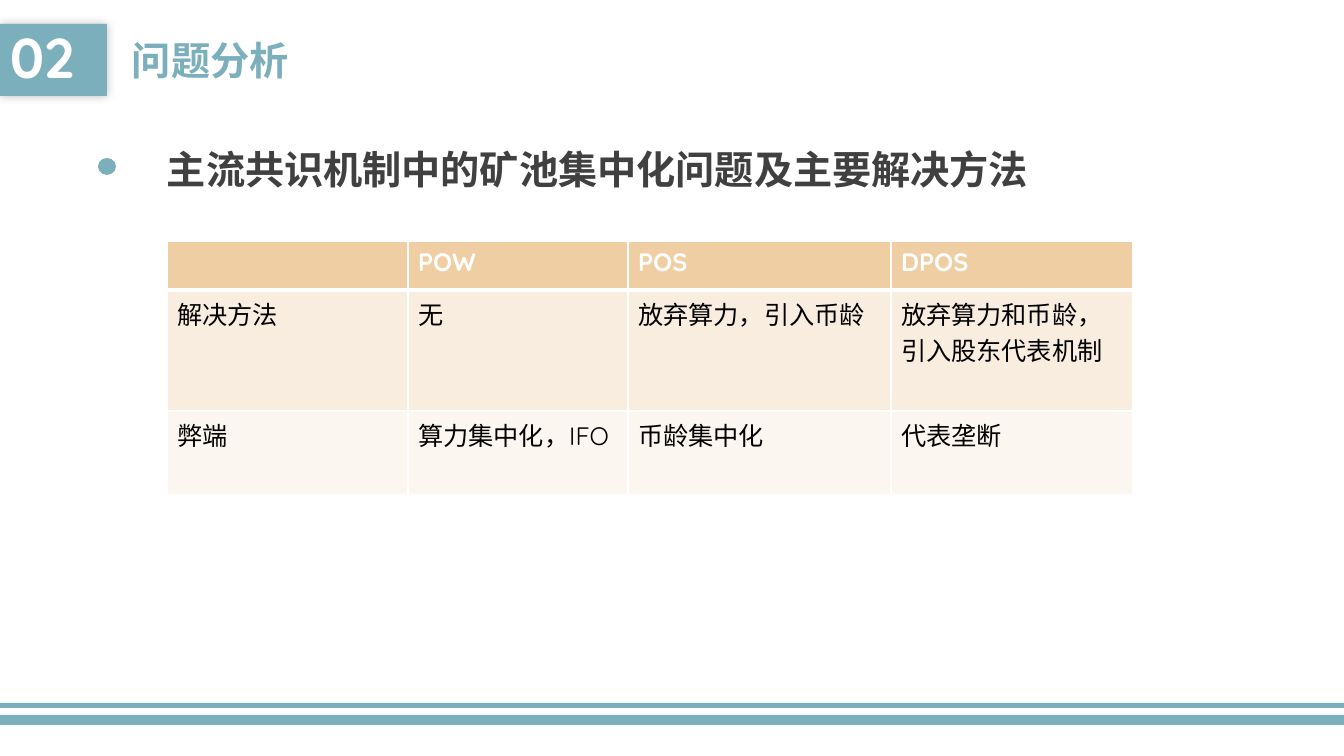
from lxml import etree
from pptx import Presentation
from pptx.dml.color import RGBColor
from pptx.enum import shapes, text
from pptx.oxml import parse_xml
from pptx.oxml.ns import qn
from pptx.util import Pt

TEAL = RGBColor(0x7C, 0xAF, 0xBC)
GREY = RGBColor(0x40, 0x40, 0x40)
WHITE = RGBColor(0xFF, 0xFF, 0xFF)
BLACK = RGBColor(0, 0, 0)
BANDS = [RGBColor(0xF0, 0xCE, 0xA3), RGBColor(0xF9, 0xED, 0xE0),
         RGBColor(0xFC, 0xF6, 0xF0)]
NS = "http://schemas.openxmlformats.org/drawingml/2006/main"
KIND = shapes.MSO_SHAPE
SCALE = 914400 / 100.8


def box(x, y, w, h, kind=None):
    """Add a teal shape, or a text box when no kind is given."""
    place = [round(n * SCALE) for n in (x, y, w, h)]
    if kind is None:
        return slide.shapes.add_textbox(*place)
    shape = slide.shapes.add_shape(kind, *place)
    shape.shadow.inherit = False
    shape.fill.solid()
    shape.fill.fore_color.rgb = TEAL
    shape.line.fill.background()
    return shape


def write(frame, words, size=18, color=BLACK, bold=False, wrap=True,
          anchor=text.MSO_ANCHOR.TOP, line=None, before=None):
    frame.word_wrap = wrap
    frame.vertical_anchor = anchor
    para = frame.paragraphs[0]
    para.alignment = text.PP_ALIGN.LEFT
    para.line_spacing = line
    if before:
        para.space_before = Pt(before)
    run = para.add_run()
    run.text = words
    font = run.font
    font.name, font.size, font.bold = "Quicksand", Pt(size), bold
    font.color.rgb = color


deck = Presentation()
deck.slide_width = round(1344 * SCALE)
deck.slide_height = round(756 * SCALE)
slide = deck.slides.add_slide(deck.slide_layouts[6])

# Footer stripes
for y, h in [(715, 10), (703, 5)]:
    box(0, y, 1344, h, KIND.RECTANGLE)

# Section number and title
badge = box(0, 24, 107, 72, KIND.RECTANGLE)
effect = badge._element.spPr.find(qn("a:effectLst"))
effect.append(parse_xml(
    f'<a:outerShdw xmlns:a="{NS}" blurRad="{Pt(7)}" dist="0" dir="0">'
    '<a:srgbClr val="000000"><a:alpha val="25000"/></a:srgbClr></a:outerShdw>'))
middle = text.MSO_ANCHOR.MIDDLE
write(badge.text_frame, "02", size=40, color=WHITE, bold=True,
      anchor=middle, line=0.9, before=10)
write(box(122, 24, 710, 72).text_frame, "问题分析", size=28, color=TEAL,
      bold=True, anchor=middle, before=10)

# Heading with its dot
write(box(157, 126, 891, 72).text_frame,
      "主流共识机制中的矿池集中化问题及主要解决方法",
      size=28, color=GREY, bold=True, wrap=False, line=1.3)
box(98, 158, 18, 17, KIND.OVAL)

# Comparison table
rows = [["", "POW", "POS", "DPOS"],
        ["解决方法", "无", "放弃算力，引入币龄", "放弃算力和币龄，引入股东代表机制"],
        ["弊端", "算力集中化，IFO", "币龄集中化", "代表垄断"]]
wide, high = [241, 220, 263, 242], [49, 121, 84]
place = [round(n * SCALE) for n in (167, 241, sum(wide), sum(high))]
table = slide.shapes.add_table(3, 4, *place).table
for col, w in zip(table.columns, wide):
    col.width = round(w * SCALE)
for r, (row, h) in enumerate(zip(rows, high)):
    table.rows[r].height = round(h * SCALE)
    for c, words in enumerate(row):
        cell = table.cell(r, c)
        head = r == 0
        if words:
            write(cell.text_frame, words, color=WHITE if head else BLACK,
                  bold=head)
        cell.fill.solid()
        cell.fill.fore_color.rgb = BANDS[r]
        # White rules, thicker below the header
        props = cell._tc.get_or_add_tcPr()
        for i, side in enumerate(["lnL", "lnR", "lnT", "lnB"]):
            thick = (side, r) in [("lnB", 0), ("lnT", 1)]
            edge = etree.Element(qn("a:" + side), w=str(Pt(3 if thick else 1)))
            paint = etree.SubElement(edge, qn("a:solidFill"))
            etree.SubElement(paint, qn("a:srgbClr"), val=str(WHITE))
            props.insert(i, edge)

deck.save("out.pptx")
